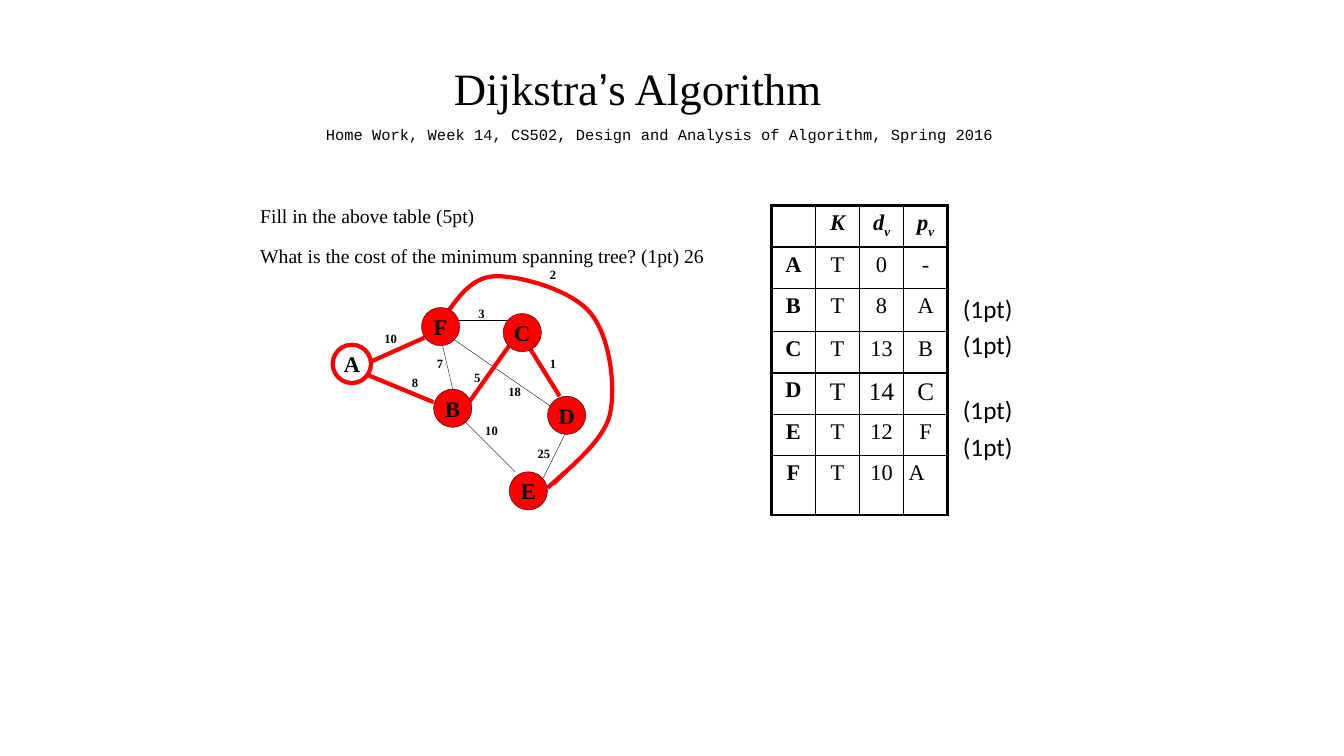
from lxml import etree
from pptx import Presentation
from pptx.dml.color import RGBColor
from pptx.enum.shapes import MSO_CONNECTOR, MSO_SHAPE
from pptx.enum.text import MSO_ANCHOR, PP_ALIGN
from pptx.oxml import parse_xml
from pptx.oxml.ns import nsdecls, qn
from pptx.util import Inches, Pt

# Content; all lengths are inches on the slide
SERIF = "Times New Roman"
BLACK, RED, WHITE = "000000", "FF0000", "FFFFFF"
THIN, THICK = 0.25, 3

TITLE = [("Dijkstra", SERIF), ("’", "Arial"), ("s Algorithm", SERIF)]
COURSE = "Home Work, Week 14, CS502, Design and Analysis of Algorithm, Spring 2016"
QUESTIONS = ["Fill in the above table (5pt)",
             "What is the cost of the minimum spanning tree? (1pt) 26"]

NODE_SIZE = 0.38
NODES = {  # left, top, fill, line colour, line width
    "A": (3.3, 3.42, WHITE, RED, THICK),
    "B": (4.3, 3.86, RED, BLACK, THIN),
    "F": (4.18, 3.05, RED, BLACK, THIN),
    "E": (5.05, 4.68, RED, BLACK, THIN),
    "D": (5.43, 3.93, RED, BLACK, THIN),
    "C": (4.99, 3.11, RED, BLACK, THIN),
}
OTHER_EDGES = [
    ((5.7, 4.11), (5.39, 4.74)),
    ((4.36, 3.3), (4.49, 3.86)),
    ((5.49, 4.05), (4.49, 3.36)),
    ((4.53, 3.18), (5.03, 3.18)),
    ((4.61, 4.05 + 0.13), (5.11, 4.68)),
]
TREE_EDGES = [
    ((4.61, 4.05), (5.05, 3.43)),
    ((3.55, 3.68), (4.3, 3.99)),
    ((5.24, 3.43), (5.55, 3.93)),
    ((3.65, 3.6), (4.21, 3.35)),
    ((5.61, 4.68), (5.43, 4.84)),
]
ARC_START = (4.43, 3.11)
ARC_CURVES = [  # two control points and an end point
    ((4.56, 2.93), (4.69, 2.74), (4.93, 2.74)),
    ((5.17, 2.74), (5.68, 2.88), (5.86, 3.11)),
    ((6.05, 3.34), (6.11, 3.83), (6.05, 4.11)),
    ((5.99, 4.39), (5.58, 4.69), (5.49, 4.8)),
]
ARC_STEPS = 16
WEIGHTS = [  # weight, left, top
    ("25", 5.2, 4.38), ("10", 4.68, 4.16), ("18", 4.91, 3.77),
    ("1", 5.36, 3.49), ("5", 4.61, 3.63), ("3", 4.65, 2.99),
    ("7", 4.24, 3.49), ("8", 3.99, 3.68), ("10", 3.68, 3.24),
    ("2", 5.36, 2.61),
]

HEADER = ["", "K", "dv", "pv"]  # a second letter is a subscript
ROWS = [
    ["A", "T", "0", "-"],
    ["B", "T", "8", "A"],
    ["C", "T", "13", "B"],
    ["D", "T", "14", "C"],
    ["E", "T", "12", "F"],
    ["F", "T", "10", "A"],
]
COLUMN_WIDTH = 0.4375
ROW_HEIGHTS = [0.41, 0.41, 0.43, 0.41, 0.41, 0.41, 0.59]
LARGE_ROW = 4
POINT_TOPS = [2.86, 3.22, 3.86, 4.23]


def color(value):
    return RGBColor.from_string(value)


def style(font, name, size, bold=False, italic=False):
    font.name, font.size = name, Pt(size)
    font.bold, font.italic = bold, italic
    font.color.rgb = color(BLACK)


def set_line(shape, value, width):
    shape.line.color.rgb = color(value)
    shape.line.width = Pt(width)


def set_margins(target, inset):
    target.margin_left = target.margin_right = Inches(inset)
    target.margin_top = target.margin_bottom = Inches(inset)


def add_text(area, lines, name, size, inset=0.04, bold=False,
             align=PP_ALIGN.CENTER, wrap=True):
    box = page.shapes.add_textbox(*map(Inches, area))
    frame = box.text_frame
    set_margins(frame, inset)
    frame.word_wrap = wrap
    frame.text = "\n".join(lines)
    for index, para in enumerate(frame.paragraphs):
        para.alignment = align
        if index:
            para.space_before = Pt(12)
        for span in para.runs:
            style(span.font, name, size, bold)
    return frame


def add_edge(start, end, value, width):
    edge = page.shapes.add_connector(
        MSO_CONNECTOR.STRAIGHT, *map(Inches, start + end))
    set_line(edge, value, width)
    etree.SubElement(edge._element.spPr, qn("a:effectLst"))


def curve_point(points, t):
    shares = ((1 - t) ** 3, 3 * t * (1 - t) ** 2, 3 * t * t * (1 - t), t ** 3)
    return tuple(Inches(sum(s * p[axis] for s, p in zip(shares, points)))
                 for axis in (0, 1))


def set_borders(cell, widths):
    properties = cell._tc.get_or_add_tcPr()
    for index, (side, width) in enumerate(zip("LRTB", widths)):
        properties.insert(index, parse_xml(
            f'<a:ln{side} {nsdecls("a")} w="{Pt(width)}"><a:solidFill>'
            f'<a:srgbClr val="{BLACK}"/></a:solidFill></a:ln{side}>'))


deck = Presentation()
deck.slide_width, deck.slide_height = Inches(13.33), Inches(7.5)
page = deck.slides.add_slide(deck.slide_layouts[6])

# Table of known vertices, distances and predecessors
cells = [HEADER] + ROWS
last_column = len(HEADER) - 1
table = page.shapes.add_table(
    len(cells), len(HEADER), Inches(7.65), Inches(2.04),
    Inches(COLUMN_WIDTH * len(HEADER)), Inches(sum(ROW_HEIGHTS))).table
table.first_row = table.horz_banding = False
for column in table.columns:
    column.width = Inches(COLUMN_WIDTH)
for r, (texts, height) in enumerate(zip(cells, ROW_HEIGHTS)):
    table.rows[r].height = Inches(height)
    for c, text in enumerate(texts):
        cell = table.cell(r, c)
        set_margins(cell, 0.05)
        cell.fill.background()
        set_borders(cell, (2.25 if c == 0 else 1,
                           2.25 if c == last_column else 1,
                           2.25 if r == 0 else 1, 1))
        para = cell.text_frame.paragraphs[0]
        at_end = r == len(ROWS) and c == last_column
        para.alignment = PP_ALIGN.LEFT if at_end else PP_ALIGN.CENTER
        size = 18 if r == LARGE_ROW and c else 16
        for position, letters in enumerate(text if r == 0 else [text]):
            span = para.add_run()
            span.text = letters
            style(span.font, SERIF, size, r == 0 or c == 0, r == 0)
            if position:
                span.font._element.set("baseline", "-25000")

# Graph edges
for start, end in OTHER_EDGES:
    add_edge(start, end, BLACK, THIN)
for start, end in TREE_EDGES:
    add_edge(start, end, RED, THICK)

# Curved edge from F to E
builder = page.shapes.build_freeform(*map(Inches, ARC_START))
arc_points, corner = [], ARC_START
for curve in ARC_CURVES:
    arc_points += [curve_point((corner,) + curve, step / ARC_STEPS)
                   for step in range(1, ARC_STEPS + 1)]
    corner = curve[-1]
builder.add_line_segments(arc_points, close=False)
arc = builder.convert_to_shape()
arc.shadow.inherit = False
arc.fill.background()
set_line(arc, RED, THICK)

# Graph nodes
for letter, (left, top, fill, line, width) in NODES.items():
    node = page.shapes.add_shape(
        MSO_SHAPE.OVAL, *map(Inches, (left, top, NODE_SIZE, NODE_SIZE)))
    node.shadow.inherit = False
    node.fill.solid()
    node.fill.fore_color.rgb = color(fill)
    set_line(node, line, width)
    frame = node.text_frame
    set_margins(frame, 0)
    frame.word_wrap = False
    frame.vertical_anchor = MSO_ANCHOR.MIDDLE
    frame.text = letter
    frame.paragraphs[0].alignment = PP_ALIGN.CENTER
    style(frame.paragraphs[0].runs[0].font, SERIF, 16, bold=True)

# Edge weights
for weight, left, top in WEIGHTS:
    add_text((left, top, 0.39 if len(weight) > 1 else 0.25, 0.21),
             [weight], SERIF, 9, bold=True)

# Title, course line, questions and points
title = add_text((4.46, 0.56, 3.73, 0.58), [""], SERIF, 32, wrap=False)
for text, name in TITLE:
    span = title.paragraphs[0].add_run()
    span.text = text
    style(span.font, name, 32)
add_text((3.08, 1.21, 6.93, 0.23), [COURSE], "Courier New", 11, inset=0.03)
add_text((2.54, 1.98, 5.12, 0.68), QUESTIONS, SERIF, 14, align=PP_ALIGN.LEFT)
for top in POINT_TOPS:
    add_text((9.5, top, 0.61, 0.41), ["(1pt)"], "Calibri", 18, inset=0.05,
             align=PP_ALIGN.LEFT, wrap=False)

deck.save("out.pptx")
